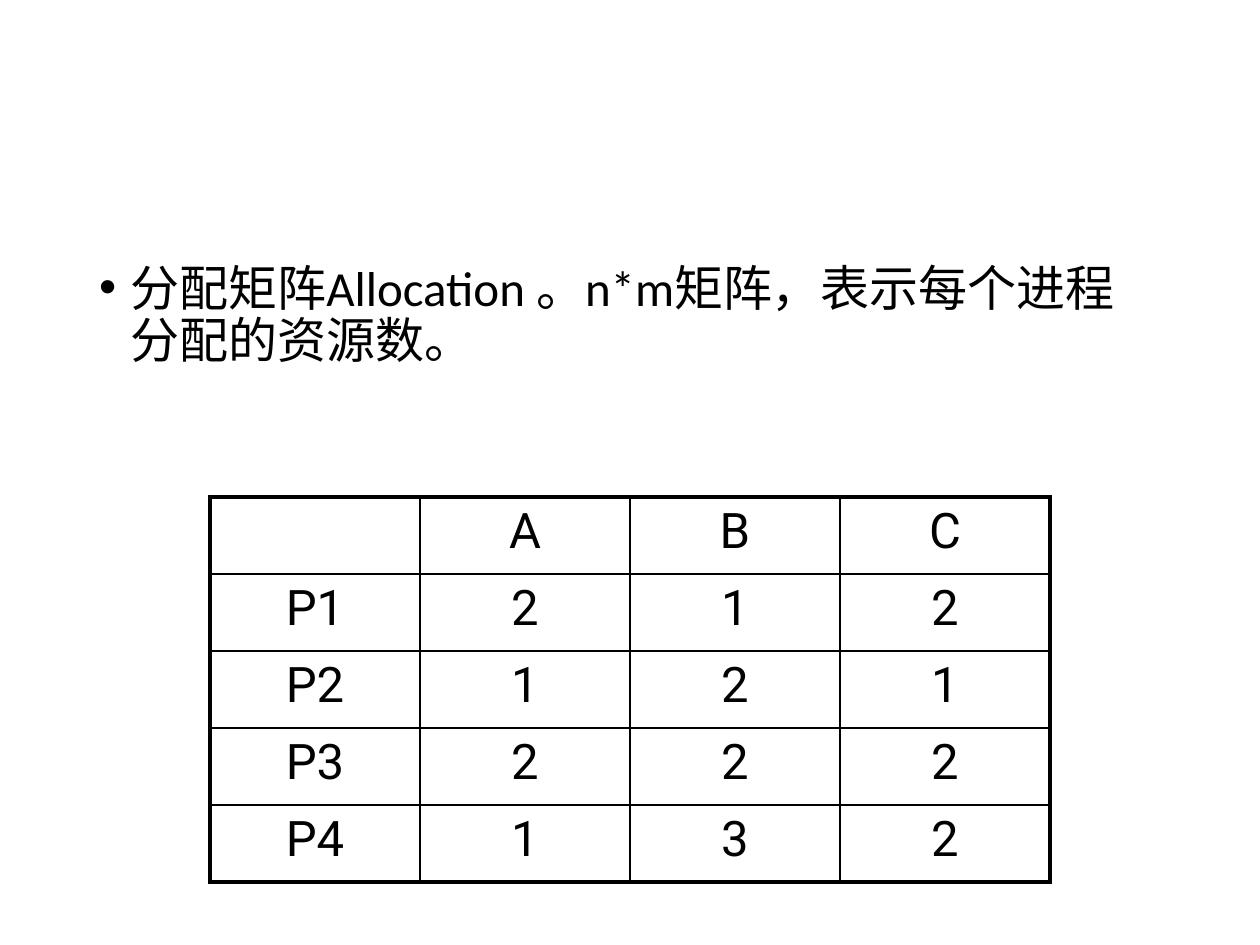
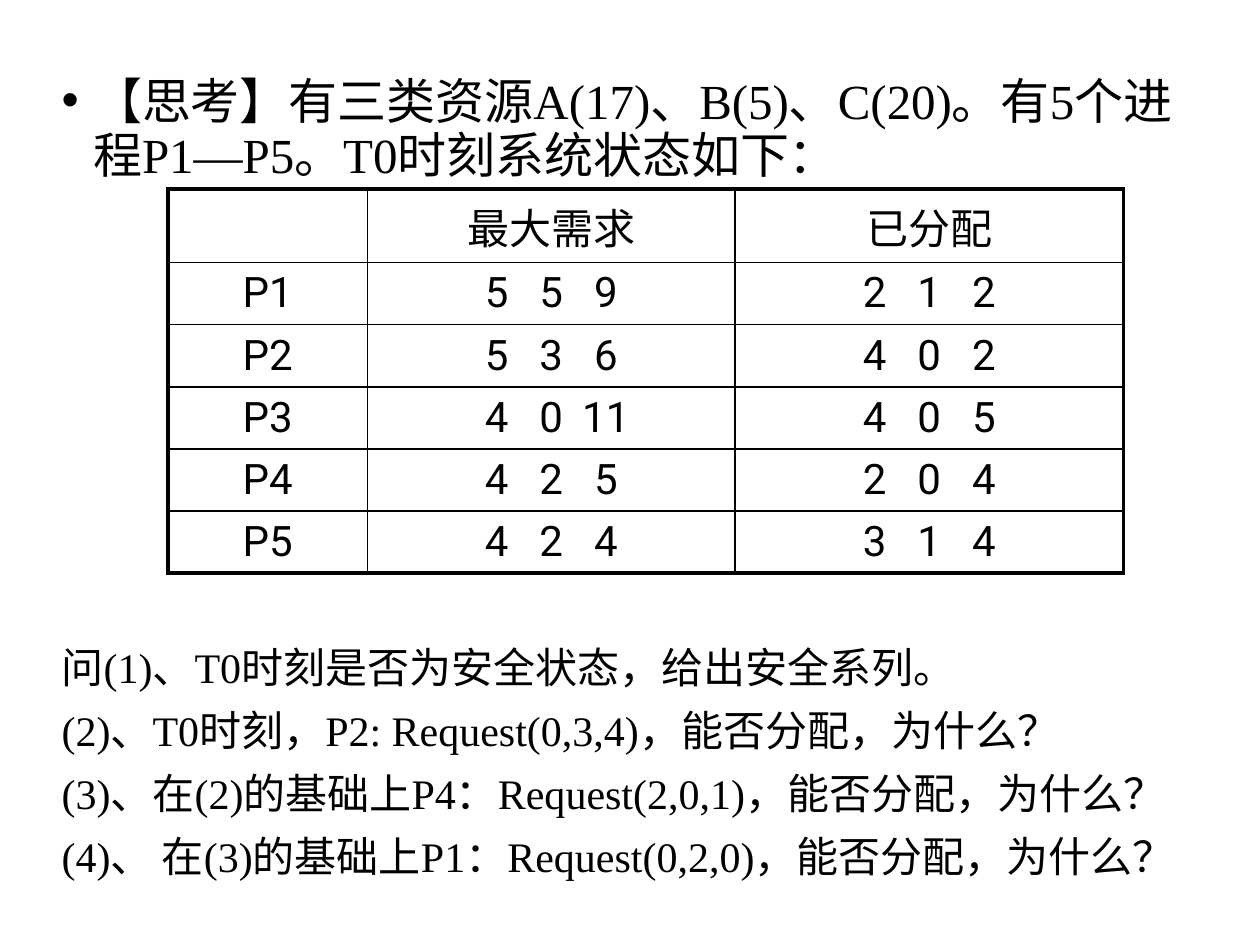
from pptx import Presentation
from pptx.dml.color import RGBColor
from pptx.enum.text import MSO_ANCHOR, MSO_AUTO_SIZE, PP_ALIGN
from pptx.oxml.ns import qn
from pptx.util import Pt
from lxml.etree import SubElement

BLACK = RGBColor(0x00, 0x00, 0x00)
ASIAN_FONT = "Noto Sans CJK SC"
OUTER_LINE, INNER_LINE = 2.25, 1
HANGING_INDENT = 18
TRIPLE_SPACING = 31.2

ALLOCATION = [
    ["", "A", "B", "C"],
    ["P1", "2", "1", "2"],
    ["P2", "1", "2", "1"],
    ["P3", "2", "2", "2"],
    ["P4", "1", "3", "2"],
]
SYSTEM_STATE = [
    ["", "最大需求", "已分配"],
    ["P1", (5, 5, 9), (2, 1, 2)],
    ["P2", (5, 3, 6), (4, 0, 2)],
    ["P3", (4, 0, 11), (4, 0, 5)],
    ["P4", (4, 2, 5), (2, 0, 4)],
    ["P5", (4, 2, 4), (3, 1, 4)],
]
QUESTIONS = [
    "问(1)、T0时刻是否为安全状态，给出安全系列。",
    "(2)、T0时刻，P2: Request(0,3,4)，能否分配，为什么？",
    "(3)、在(2)的基础上P4：Request(2,0,1)，能否分配，为什么？",
    "(4)、 在(3)的基础上P1：Request(0,2,0)，能否分配，为什么？",
]


def write(para, text, *, font, size, align=PP_ALIGN.LEFT, line=None, before=0):
    para.alignment = align
    para.space_before = Pt(before)
    if line:
        para.line_spacing = Pt(line)
    span = para.add_run()
    span.text = text
    span.font.name = font
    span.font.size = Pt(size)
    span.font.color.rgb = BLACK
    SubElement(span.font._element, qn("a:ea"), typeface=ASIAN_FONT)


def set_hanging_indent(para, bullet):
    properties = para._p.get_or_add_pPr()
    properties.set("marL", str(Pt(HANGING_INDENT)))
    properties.set("indent", str(-Pt(HANGING_INDENT)))
    if bullet:
        SubElement(properties, qn("a:buFont"), typeface="Arial")
        SubElement(properties, qn("a:buChar"), char=bullet)
    else:
        SubElement(properties, qn("a:buNone"))


def set_centred_tabs(para, positions):
    tabs = SubElement(para._p.get_or_add_pPr(), qn("a:tabLst"))
    for position in positions:
        SubElement(tabs, qn("a:tab"), pos=str(Pt(position)), algn="ctr")


def add_page(deck, left, top, width, height):
    """Add a page without a title and return it with its body text frame."""
    page = deck.slides.add_slide(deck.slide_layouts[1])
    title = page.shapes.title._element
    title.getparent().remove(title)
    body = page.placeholders[1]
    body.left, body.top, body.width, body.height = map(Pt, (left, top, width, height))
    frame = body.text_frame
    frame.word_wrap = True
    frame.auto_size = MSO_AUTO_SIZE.NONE
    frame.vertical_anchor = MSO_ANCHOR.TOP
    frame.margin_top = Pt(6.6)
    return page, frame


def set_borders(cell, at_left, at_right, at_top, at_bottom):
    """Draw a thick line on each side that lies on the table's edge."""
    properties = cell._tc.get_or_add_tcPr()
    sides = {"lnL": at_left, "lnR": at_right, "lnT": at_top, "lnB": at_bottom}
    for side, outer in sides.items():
        weight = Pt(OUTER_LINE if outer else INNER_LINE)
        line = SubElement(properties, qn(f"a:{side}"), w=str(weight))
        fill = SubElement(line, qn("a:solidFill"))
        SubElement(fill, qn("a:srgbClr"), val=str(BLACK))


def fill_cell(cell, value, width, size):
    """Write a word in the centre, or a triple of numbers on centred tabs."""
    para = cell.text_frame.paragraphs[0]
    if isinstance(value, tuple):
        middle = width / 2 - cell.margin_left.pt
        set_centred_tabs(para, [middle + step * TRIPLE_SPACING for step in (-1, 0, 1)])
        text = "".join(f"\t{number}" for number in value)
        write(para, text, font="Roboto", size=size)
    elif value:
        write(para, value, font="Roboto", size=size, align=PP_ALIGN.CENTER)


def add_grid(page, rows, left, top, widths, heights, size):
    table = page.shapes.add_table(
        len(rows), len(widths), Pt(left), Pt(top), Pt(sum(widths)), Pt(sum(heights))
    ).table
    table.first_row = table.horz_banding = False
    for column, width in zip(table.columns, widths):
        column.width = Pt(width)
    for row, height in zip(table.rows, heights):
        row.height = Pt(height)
    last_row, last_column = len(rows) - 1, len(widths) - 1
    for r, values in enumerate(rows):
        for c, value in enumerate(values):
            cell = table.cell(r, c)
            set_borders(cell, c == 0, c == last_column, r == 0, r == last_row)
            cell.fill.background()
            fill_cell(cell, value, widths[c], size)


def add_allocation_page(deck):
    page, frame = add_page(deck, 49.5, 144, 621, 342.5)
    para = frame.paragraphs[0]
    set_hanging_indent(para, "•")
    write(para, "分配矩阵Allocation 。n*m矩阵，表示每个进程分配的资源数。",
          font="Calibri", size=28, line=30)
    add_grid(page, ALLOCATION, 120, 284, [120] * 4, [44] * 5, 28)


def add_exercise_page(deck):
    page, frame = add_page(deck, 28, 36, 674, 480)
    para = frame.paragraphs[0]
    set_hanging_indent(para, "•")
    write(para, "【思考】有三类资源A(17)、B(5)、C(20)。有5个进程P1—P5。T0时刻系统状态如下：",
          font="Times New Roman", size=28, line=31)
    for index, question in enumerate(QUESTIONS):
        para = frame.add_paragraph()
        set_hanging_indent(para, None)
        write(para, question, font="Times New Roman", size=24, line=26,
              align=PP_ALIGN.JUSTIFY if index < 3 else PP_ALIGN.LEFT,
              before=10 if index else 265)
    add_grid(page, SYSTEM_STATE, 96, 108, [114, 210, 222], [42] + [35.5] * 5, 24)


def main():
    deck = Presentation()
    deck.slide_width, deck.slide_height = Pt(720), Pt(540)
    add_allocation_page(deck)
    add_exercise_page(deck)
    deck.save("out.pptx")


if __name__ == "__main__":
    main()
